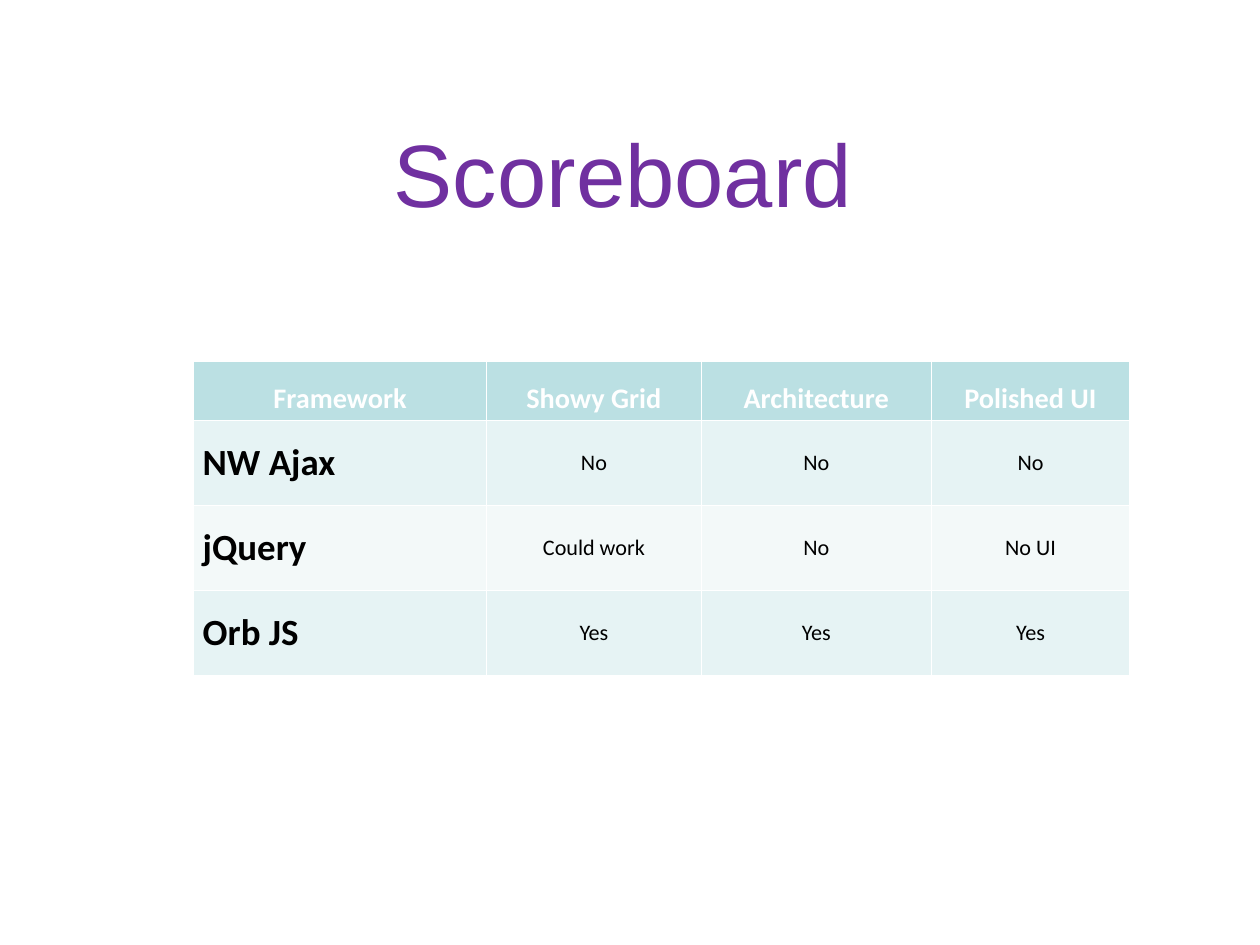
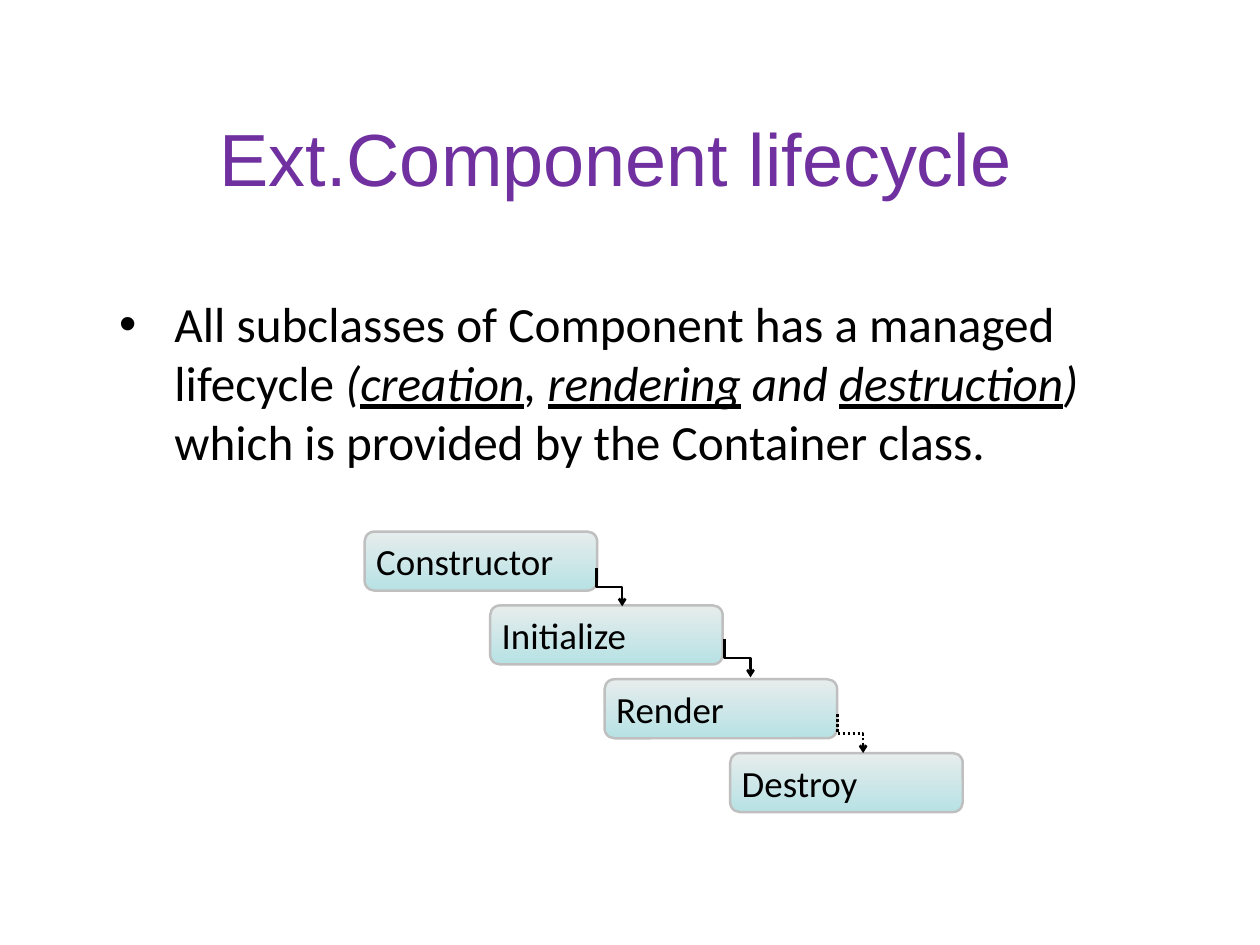
import pptx
import pptx.dml.color
import pptx.enum.dml
import pptx.enum.shapes
import pptx.enum.text
import pptx.oxml.ns
import pptx.util
import lxml.etree

# Content
SCORE_TITLE = "Scoreboard"
SCORES = [
    ("Framework", "Showy Grid", "Architecture", "Polished UI"),
    ("NW Ajax", "No", "No", "No"),
    ("jQuery", "Could work", "No", "No UI"),
    ("Orb JS", "Yes", "Yes", "Yes"),
]
LIFECYCLE_TITLE = "Ext.Component lifecycle"
ITALIC = {"italic": True}
TERM = {"italic": True, "underline": True}
LIFECYCLE_TEXT = [
    ("All subclasses of Component has a managed lifecycle ", {}),
    ("(", ITALIC), ("creation", TERM), (", ", ITALIC), ("rendering", TERM),
    (" and ", ITALIC), ("destruction", TERM), (")", ITALIC),
    (" which is provided by the Container class.", {}),
]
STEPS = [("Constructor", 395), ("Initialize", 531), ("Render", 655), ("Destroy", 791)]
ARROWS = [(646, 615, False), (785, 692, False), (907, 774, True)]  # left, top, dotted

# Shared style
COLORS = {
    "title": "7030A0", "text": "000000", "white": "FFFFFF", "header": "BBE0E3",
    "odd row": "E6F3F4", "even row": "F3F9F9",
    "step top": "E7ECEC", "step bottom": "B7E2E5", "step line": "BFBFBF",
}
TITLE_FONT, BODY_FONT = "Arial", "Calibri"
SLIDE_SIZE = (1365, 1024)
COLUMN_WIDTHS = (317, 233, 249, 215)
ROW_HEIGHTS = (64, 92, 92, 92)
STEP_TOP, STEP_PITCH, STEP_SIZE = 576, 80, (252, 64)
ARROW_WIDTH, ARROW_HEIGHT = 28, 42
BULLET_INDENT = 60
TEXT_INSET = 6
PIXEL = 9525

ALIGN = pptx.enum.text.PP_ALIGN
ANCHOR = pptx.enum.text.MSO_ANCHOR


def px(*lengths):
    return [pptx.util.Emu(round(length * PIXEL)) for length in lengths]


def rgb(name):
    return pptx.dml.color.RGBColor.from_string(COLORS[name])


def add_xml(parent, tag, **attributes):
    return lxml.etree.SubElement(parent, pptx.oxml.ns.qn(tag), attributes)


def add_run(paragraph, text, size, color="text", name=BODY_FONT, **formats):
    run = paragraph.add_run()
    run.text = text
    formats.update(size=pptx.util.Pt(size), name=name)
    for key, value in formats.items():
        setattr(run.font, key, value)
    run.font.color.rgb = rgb(color)


def add_text_box(slide, box, anchor):
    frame = slide.shapes.add_textbox(*px(*box)).text_frame
    frame.word_wrap = True
    frame.vertical_anchor = anchor
    for side in ("left", "top", "right", "bottom"):
        setattr(frame, "margin_" + side, px(TEXT_INSET)[0])
    return frame.paragraphs[0]


def add_title(slide, text, box, size):
    paragraph = add_text_box(slide, box, ANCHOR.BOTTOM)
    paragraph.alignment = ALIGN.CENTER
    add_run(paragraph, text, size, "title", TITLE_FONT)


def add_score_table(slide, left, top):
    size = (sum(COLUMN_WIDTHS), sum(ROW_HEIGHTS))
    table = slide.shapes.add_table(
        len(SCORES), len(COLUMN_WIDTHS), *px(left, top, *size)).table
    for column, width in zip(table.columns, px(*COLUMN_WIDTHS)):
        column.width = width
    for row, height in zip(table.rows, px(*ROW_HEIGHTS)):
        row.height = height
    for row_index, row in enumerate(SCORES):
        is_header = row_index == 0
        fill = "header" if is_header else "odd row" if row_index % 2 else "even row"
        for column_index, text in enumerate(row):
            is_name = column_index == 0 and not is_header
            cell = table.cell(row_index, column_index)
            cell.fill.solid()
            cell.fill.fore_color.rgb = rgb(fill)
            cell.vertical_anchor = ANCHOR.BOTTOM if is_header else ANCHOR.MIDDLE
            paragraph = cell.text_frame.paragraphs[0]
            paragraph.alignment = ALIGN.LEFT if is_name else ALIGN.CENTER
            add_run(paragraph, text, 23 if is_header else 30 if is_name else 18,
                    "white" if is_header else "text", bold=is_header or is_name)


def add_step(slide, text, left, top):
    shape = slide.shapes.add_shape(
        pptx.enum.shapes.MSO_SHAPE.ROUNDED_RECTANGLE, *px(left, top, *STEP_SIZE))
    shape.shadow.inherit = False
    shape.fill.gradient()
    shape.fill.gradient_angle = 270
    for stop, color, position in zip(
            shape.fill.gradient_stops, ("step top", "step bottom"), (0, 1)):
        stop.color.rgb = rgb(color)
        stop.position = position
    shape.line.color.rgb = rgb("step line")
    shape.line.width = pptx.util.Pt(2)
    shape.text_frame.vertical_anchor = ANCHOR.TOP
    paragraph = shape.text_frame.paragraphs[0]
    paragraph.alignment = ALIGN.LEFT
    add_run(paragraph, text, 30)


def add_step_arrow(slide, left, top, dotted):
    # A quarter turn makes the elbow leave and arrive vertically
    shift = (ARROW_HEIGHT - ARROW_WIDTH) / 2
    x, y = left - shift, top + shift
    connector = slide.shapes.add_connector(
        pptx.enum.shapes.MSO_CONNECTOR.ELBOW,
        *px(x, y, x + ARROW_HEIGHT, y + ARROW_WIDTH))
    connector.line.color.rgb = rgb("text")
    connector.line.width = pptx.util.Pt(2)
    if dotted:
        connector.line.dash_style = pptx.enum.dml.MSO_LINE.ROUND_DOT
    properties = connector._element.spPr
    frame = properties.find(pptx.oxml.ns.qn("a:xfrm"))
    frame.set("rot", "16200000")
    frame.set("flipH", "1")
    add_xml(properties.find(pptx.oxml.ns.qn("a:ln")), "a:tailEnd", type="arrow")
    add_xml(properties, "a:effectLst")


def build_scoreboard(slide):
    add_title(slide, SCORE_TITLE, (330, 136, 690, 114), 72)
    add_score_table(slide, 210, 392)


def build_lifecycle(slide):
    add_title(slide, LIFECYCLE_TITLE, (75, 72, 1184, 152), 60)

    # Bulleted text
    paragraph = add_text_box(slide, (123, 312, 1176, 604), ANCHOR.TOP)
    properties = paragraph._p.get_or_add_pPr()
    indent = BULLET_INDENT * PIXEL
    properties.set("marL", str(indent))
    properties.set("indent", str(-indent))
    add_xml(properties, "a:buFont", typeface=TITLE_FONT)
    add_xml(properties, "a:buChar", char="•")
    for text, formats in LIFECYCLE_TEXT:
        add_run(paragraph, text, 40, **formats)

    # Staircase of steps
    for index, (text, left) in enumerate(STEPS):
        add_step(slide, text, left, STEP_TOP + index * STEP_PITCH)
    for arrow in ARROWS:
        add_step_arrow(slide, *arrow)


def main():
    presentation = pptx.Presentation()
    presentation.slide_width, presentation.slide_height = px(*SLIDE_SIZE)
    for build in (build_scoreboard, build_lifecycle):
        build(presentation.slides.add_slide(presentation.slide_layouts[6]))
    presentation.save("out.pptx")


if __name__ == "__main__":
    main()
